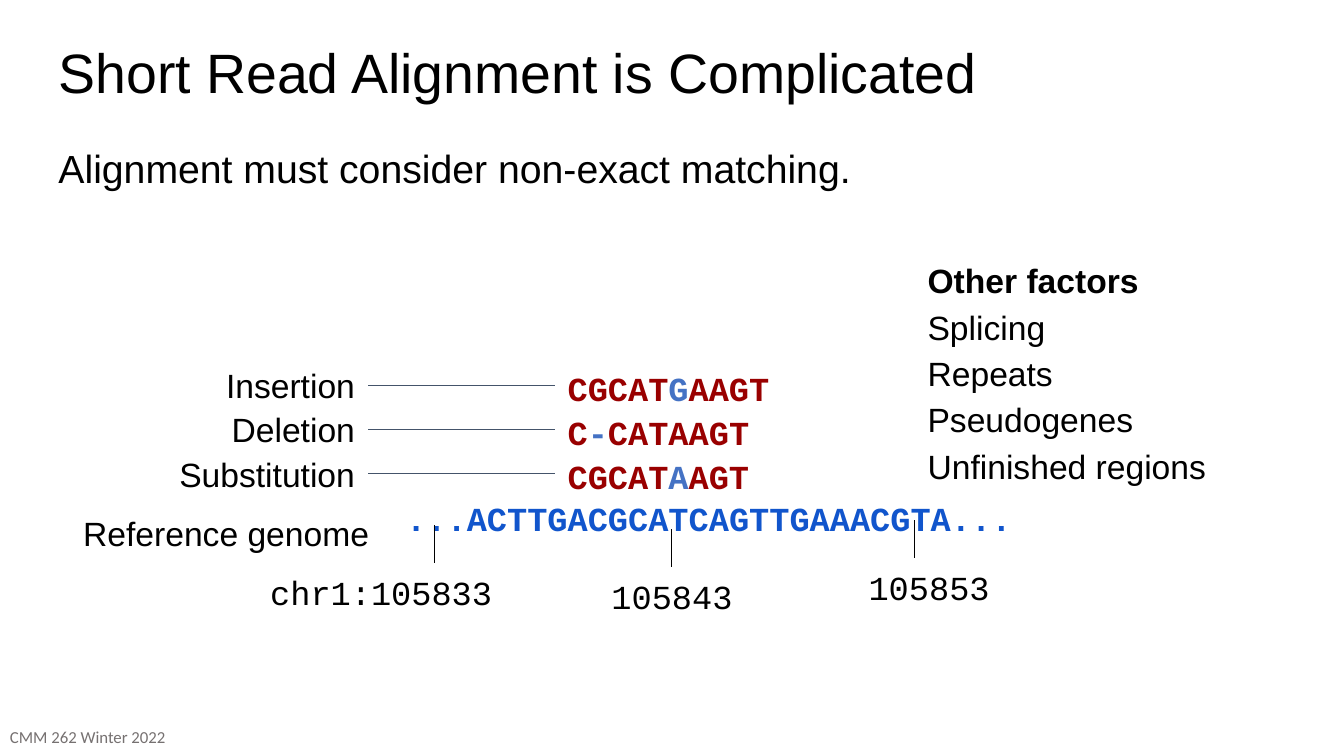
"""Build the slide on why short read alignment is complicated."""
from dataclasses import dataclass

from lxml import etree
from pptx import Presentation
from pptx import util as u
from pptx.dml.color import RGBColor
from pptx.enum import shapes, text
from pptx.oxml.ns import qn

PX = u.Inches(1) // 100
LEFT, CENTER, RIGHT = text.PP_ALIGN.LEFT, text.PP_ALIGN.CENTER, text.PP_ALIGN.RIGHT
TOP, MIDDLE = text.MSO_ANCHOR.TOP, text.MSO_ANCHOR.MIDDLE


@dataclass(frozen=True)
class Theme:
    """Colours, fonts and type sizes of the slide."""
    ink: str = "000000"
    read: str = "990000"
    variant: str = "4472C4"
    genome: str = "1155CC"
    leader: str = "44546A"
    muted: str = "767171"
    sans: str = "Arial"
    mono: str = "Courier New"
    small: str = "Calibri"
    title_size: float = 39.6
    lead_size: int = 28
    base_size: int = 24
    footer_size: int = 12


THEME = Theme()


def style_run(run, font, size, color, bold):
    """Apply font, size, colour and weight to one run."""
    run.font.name = font
    run.font.size = u.Pt(size)
    run.font.color.rgb = RGBColor.from_string(color)
    run.font.bold = bold


def add_text(slide, box, content, font=THEME.sans, size=THEME.base_size, color=THEME.ink,
             bold=False, align=LEFT, anchor=TOP, spacing=1.0, inset=(13, 13)):
    """Add a wrapped text box in one style and return its frame."""
    frame = slide.shapes.add_textbox(*(n * PX for n in box)).text_frame
    frame.word_wrap = True
    frame.vertical_anchor = anchor
    frame.margin_left = frame.margin_right = inset[0] * PX
    frame.margin_top = frame.margin_bottom = inset[1] * PX
    frame.text = content
    for paragraph in frame.paragraphs:
        paragraph.alignment = align
        paragraph.line_spacing = spacing
        for run in paragraph.runs:
            style_run(run, font, size, color, bold)
    return frame


def add_line(slide, x1, y1, x2, y2, color):
    """Add a thin straight line without shadow."""
    line = slide.shapes.add_connector(shapes.MSO_CONNECTOR.STRAIGHT,
                                      *(n * PX for n in (x1, y1, x2, y2)))
    line.line.color.rgb = RGBColor.from_string(color)
    line.line.width = u.Pt(0.75)
    etree.SubElement(line.element.spPr, qn("a:effectLst"))


def add_read(slide, y, before, variant, after):
    """Add a short read with its differing base highlighted."""
    frame = add_text(slide, (550, y, 265, 41), "", anchor=MIDDLE, spacing=1.15)
    for bases, color in ((before, THEME.read), (variant, THEME.variant), (after, THEME.read)):
        run = frame.paragraphs[0].add_run()
        run.text = bases
        style_run(run, THEME.mono, THEME.base_size, color, True)


def add_mismatches(slide):
    """Add one labelled read per kind of mismatch."""
    mismatches = (("Insertion", "CGCAT", "G", "AAGT"),
                  ("Deletion", "C", "-", "CATAAGT"),
                  ("Substitution", "CGCAT", "A", "AGT"))
    for row, (kind, *bases) in enumerate(mismatches):
        y = 350 + 44 * row
        add_text(slide, (115, y, 250, 64), kind, align=RIGHT, anchor=MIDDLE)
        add_line(slide, 365, y + 32, 550, y + 32, THEME.leader)
        add_read(slide, y + 11, *bases)


def add_reference(slide):
    """Add the reference genome with its position ticks."""
    add_text(slide, (23, 497, 356, 64), "Reference genome", align=RIGHT, anchor=MIDDLE)
    add_text(slide, (378, 489, 650, 44), "...ACTTGACGCATCAGTTGAAACGTA...", font=THEME.mono,
             color=THEME.genome, bold=True, align=CENTER, anchor=MIDDLE, spacing=1.15)
    positions = (("chr1:105833", 431, 521, 253, 250),
                 ("105843", 666, 525, 575, 183),
                 ("105853", 907, 516, 830, 183))
    for position, tick_x, tick_y, x, width in positions:
        add_line(slide, tick_x, tick_y, tick_x, tick_y + 38, THEME.ink)
        add_text(slide, (x, tick_y + 46, width, 41), position, font=THEME.mono,
                 align=CENTER, anchor=MIDDLE)


def add_factors(slide):
    """Add the list of other factors under its bold heading."""
    factors = ("Other factors", "Splicing", "Repeats", "Pseudogenes", "Unfinished regions")
    frame = add_text(slide, (907, 239, 355, 199), "\n".join(factors), spacing=1.15)
    frame.paragraphs[0].runs[0].font.bold = True


def main():
    """Build and save the slide."""
    deck = Presentation()
    deck.slide_width, deck.slide_height = 1333 * PX, 750 * PX
    slide = deck.slides.add_slide(deck.slide_layouts[6])
    add_text(slide, (45, 32, 1242, 84), "Short Read Alignment is Complicated",
             size=THEME.title_size, spacing=0.9)
    add_text(slide, (45, 135, 1242, 545), "Alignment must consider non-exact matching.",
             size=THEME.lead_size, spacing=0.9)
    add_reference(slide)
    add_mismatches(slide)
    add_factors(slide)
    add_text(slide, (0, 716, 450, 40), "CMM 262 Winter 2022", font=THEME.small,
             size=THEME.footer_size, color=THEME.muted, inset=(10, 5))
    deck.save("out.pptx")


if __name__ == "__main__":
    main()
